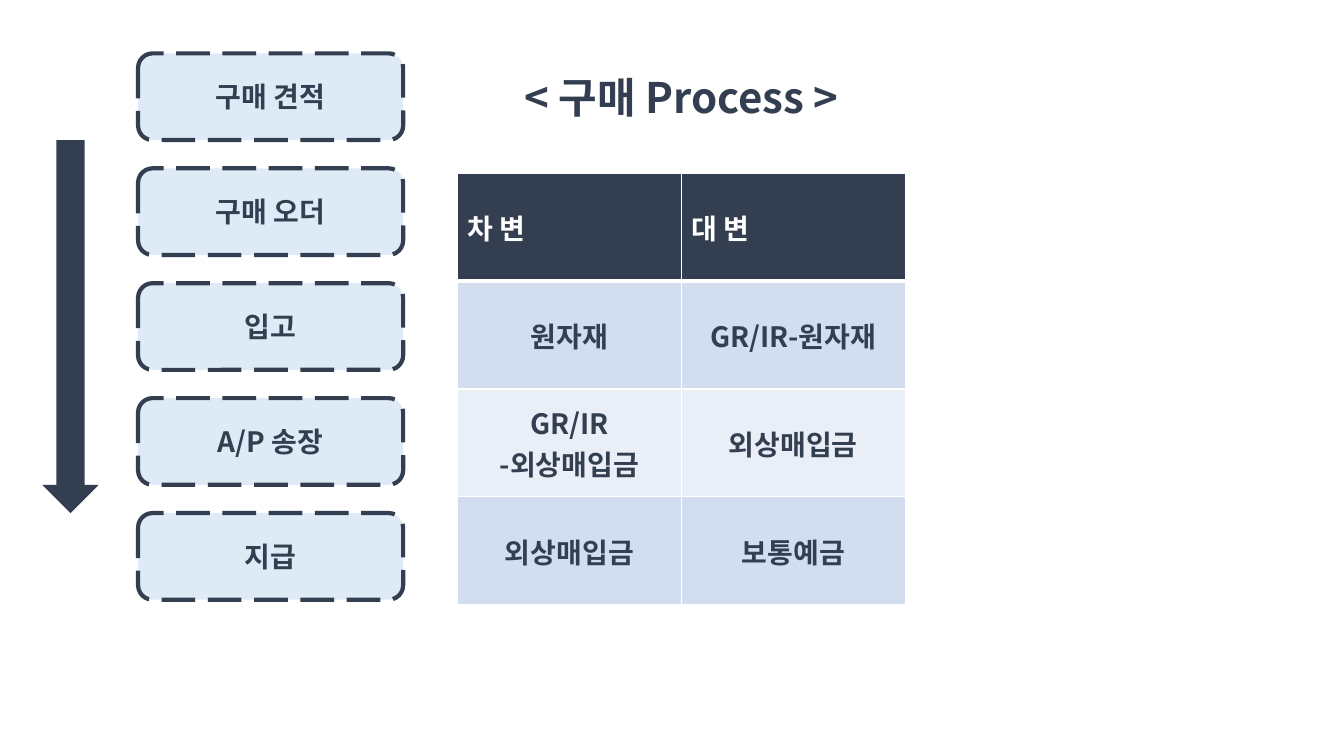
from dataclasses import dataclass

from lxml.etree import SubElement as Sub
from pptx import Presentation
from pptx.dml.color import RGBColor as Rgb
from pptx.enum.dml import MSO_LINE_DASH_STYLE as Dash
from pptx.enum.shapes import MSO_SHAPE as Kind
from pptx.enum.text import MSO_ANCHOR as Anchor, MSO_AUTO_SIZE as Auto, PP_ALIGN as Align
from pptx.oxml.ns import qn
from pptx.shapes.autoshape import Shape
from pptx.slide import Slide
from pptx.table import _Cell as Cell
from pptx.text.text import TextFrame
from pptx.util import Pt

NAVY = Rgb(0x33, 0x3F, 0x50)
PALE = Rgb(0xDE, 0xEB, 0xF7)
BAND = Rgb(0xD2, 0xDE, 0xEF)
LIGHT = Rgb(0xEA, 0xEF, 0xF7)
WHITE = Rgb(0xFF, 0xFF, 0xFF)
FACE = "Noto Sans CJK KR"

STEPS = ["구매 견적", "구매 오더", "입고", "A/P 송장", "지급"]
STEP_GAP = 82.08
ENTRIES = [
    ("차 변", "대 변"),
    ("원자재", "GR/IR-원자재"),
    ("GR/IR\n-외상매입금", "외상매입금"),
    ("외상매입금", "보통예금"),
]


@dataclass(frozen=True)
class Box:
    left: float
    top: float
    width: float
    height: float

    def place(self) -> tuple[Pt, Pt, Pt, Pt]:
        return Pt(self.left), Pt(self.top), Pt(self.width), Pt(self.height)


@dataclass(frozen=True)
class Block:
    kind: Kind
    box: Box
    fill: Rgb
    text: str = ""
    dashed: bool = False


def write(frame: TextFrame, text: str, size: float = 20,
          color: Rgb = NAVY, align: Align = Align.CENTER) -> None:
    frame.text = text
    for para in frame.paragraphs:
        para.alignment = align
        for run in para.runs:
            style = {"name": FACE, "size": Pt(size), "bold": True}
            for key, value in style.items():
                setattr(run.font, key, value)
            run.font.color.rgb = color
            Sub(run._r.get_or_add_rPr(), qn("a:ea"), typeface=FACE)


def draw_block(slide: Slide, block: Block) -> None:
    shape: Shape = slide.shapes.add_shape(block.kind, *block.box.place())
    shape.shadow.inherit = False
    shape.fill.solid()
    shape.fill.fore_color.rgb = block.fill
    if block.dashed:
        shape.line.color.rgb = NAVY
        shape.line.width = Pt(3)
        shape.line.dash_style = Dash.LONG_DASH
    else:
        shape.line.fill.background()
    if block.text:
        shape.text_frame.vertical_anchor = Anchor.MIDDLE
        write(shape.text_frame, block.text)


def edge(cell: Cell, row: int) -> None:
    widths = {"L": 1, "R": 1, "T": 3 if row == 1 else 1, "B": 3 if row == 0 else 1}
    props = cell._tc.get_or_add_tcPr()
    for side, width in widths.items():
        line = Sub(props, qn(f"a:ln{side}"), w=str(Pt(width)))
        fill = Sub(line, qn("a:solidFill"))
        Sub(fill, qn("a:srgbClr"), val=str(WHITE))


def draw_table(slide: Slide, box: Box) -> None:
    table = slide.shapes.add_table(len(ENTRIES), len(ENTRIES[0]), *box.place()).table
    for row, texts in enumerate(ENTRIES):
        head = row == 0
        for col, text in enumerate(texts):
            cell = table.cell(row, col)
            edge(cell, row)
            cell.fill.solid()
            cell.fill.fore_color.rgb = NAVY if head else BAND if row % 2 else LIGHT
            cell.vertical_anchor = Anchor.MIDDLE
            write(cell.text_frame, text, color=WHITE if head else NAVY,
                  align=Align.LEFT if head else Align.CENTER)


def draw_title(slide: Slide, box: Box) -> None:
    title = slide.shapes.title
    for key, value in zip(("left", "top", "width", "height"), box.place()):
        setattr(title, key, value)
    look = {"word_wrap": True, "auto_size": Auto.SHAPE_TO_FIT_TEXT,
            "vertical_anchor": Anchor.MIDDLE}
    for key, value in look.items():
        setattr(title.text_frame, key, value)
    write(title.text_frame, "< 구매 Process >", size=30)


def main() -> None:
    deck = Presentation()
    deck.slide_width, deck.slide_height = Pt(960), Pt(540)
    slide = deck.slides.add_slide(deck.slide_layouts[5])
    blocks = [
        Block(Kind.ROUNDED_RECTANGLE, Box(98.64, 38.16 + i * STEP_GAP, 189.36, 61.92),
              PALE, text, True)
        for i, text in enumerate(STEPS)
    ]
    blocks.append(Block(Kind.DOWN_ARROW, Box(30.24, 100.08, 40.32, 266.4), NAVY))
    for block in blocks:
        draw_block(slide, block)
    draw_table(slide, Box(326.88, 123.84, 319.68, 308.16))
    draw_title(slide, Box(326.88, 46.8, 319.68, 43.92))
    deck.save("out.pptx")


if __name__ == "__main__":
    main()
